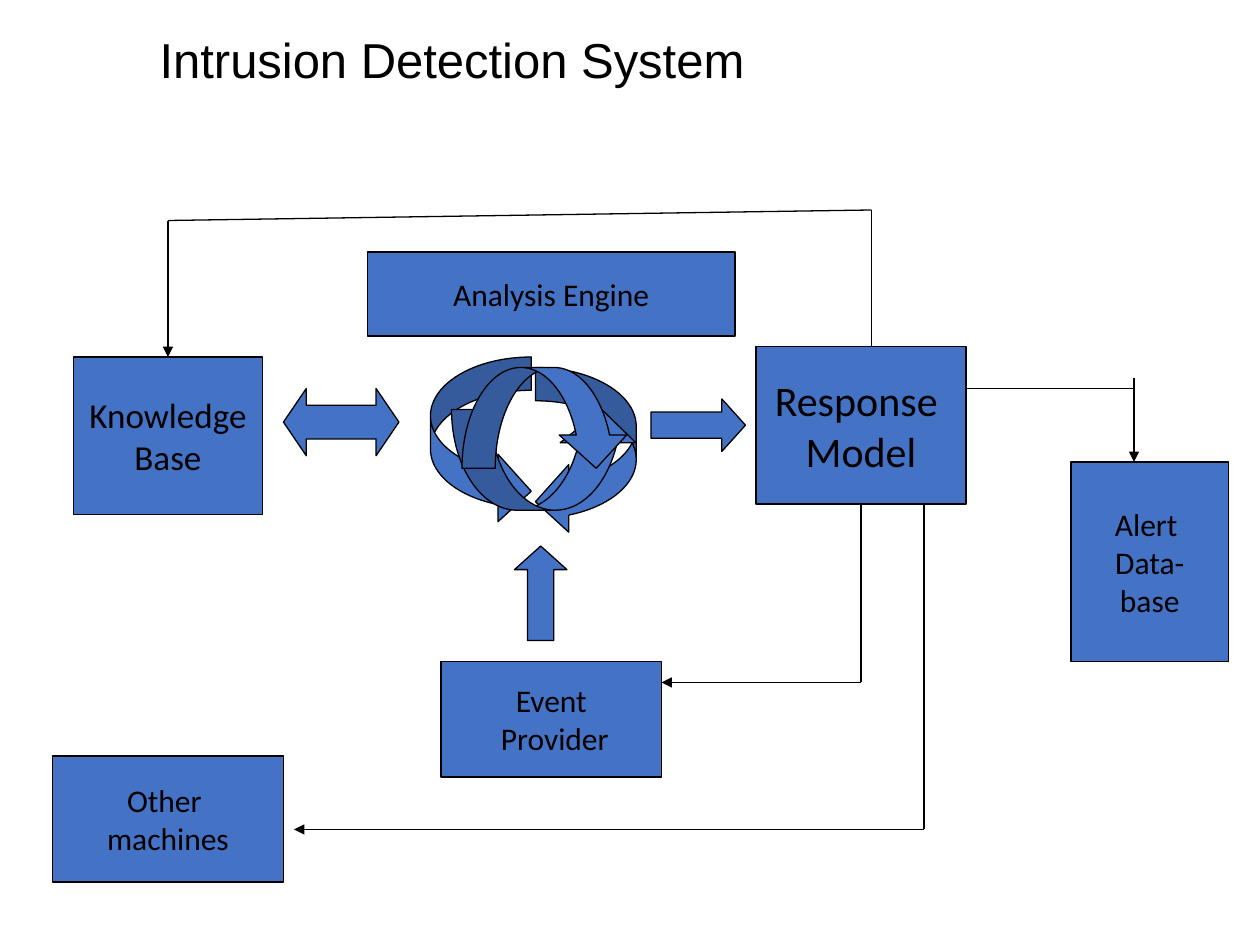
"""Build the Intrusion Detection System diagram on a 120 by 90 grid."""
from dataclasses import dataclass

from lxml.etree import SubElement
from pptx import Presentation
from pptx.dml.color import RGBColor
from pptx.enum.shapes import MSO_CONNECTOR, MSO_SHAPE
from pptx.enum.text import MSO_ANCHOR, PP_ALIGN
from pptx.oxml.ns import qn
from pptx.util import Inches, Pt

COLUMNS, ROWS = 120, 90
WIDTH, HEIGHT = Inches(10), Inches(7.5)
BLUE, BLACK = "4472C4", "000000"
TOP, BOTTOM = 0, 2


@dataclass
class Block:
    kind: MSO_SHAPE
    column: float
    row: float
    columns: float
    rows: float
    text: str = ""
    size: int = 18
    adjustments: tuple = ()


@dataclass
class Link:
    start: tuple
    end: tuple
    arrow: bool = False
    begin_at: tuple = ()
    end_at: tuple = ()


BOXES = {
    "knowledge": Block(MSO_SHAPE.RECTANGLE, 7, 34, 18, 15, "Knowledge\nBase", 20),
    "response": Block(MSO_SHAPE.RECTANGLE, 72, 33, 20, 15, "Response \nModel", 24),
    "alert": Block(MSO_SHAPE.RECTANGLE, 102, 44, 15, 19, "Alert \nData-\nbase"),
    "event": Block(MSO_SHAPE.RECTANGLE, 42, 63, 21, 11, "Event\n Provider"),
    "analysis": Block(MSO_SHAPE.RECTANGLE, 35, 24, 35, 8, "Analysis Engine"),
    "other": Block(MSO_SHAPE.RECTANGLE, 5, 72, 22, 12, "Other \nmachines"),
}

CYCLE = (0.33, 0.67, 0.33)
ARROWS = [
    Block(MSO_SHAPE.CURVED_RIGHT_ARROW, 41, 34, 9.6, 16, adjustments=CYCLE),
    Block(MSO_SHAPE.CURVED_LEFT_ARROW, 51, 35, 9.6, 16, adjustments=CYCLE),
    Block(MSO_SHAPE.CURVED_UP_ARROW, 43, 39, 17.9, 9.6, adjustments=(0.38, 0.75, 0.33)),
    Block(MSO_SHAPE.CURVED_DOWN_ARROW, 44, 35, 16, 9.6, adjustments=CYCLE),
    Block(MSO_SHAPE.LEFT_RIGHT_ARROW, 27, 37, 11, 6.4, adjustments=(0.5, 0.34)),
    Block(MSO_SHAPE.RIGHT_ARROW, 62, 38, 9, 5, adjustments=(0.5, 0.45)),
    Block(MSO_SHAPE.UP_ARROW, 49, 52, 5, 9, adjustments=(0.5, 0.45)),
]

LINKS = [
    Link((16, 21), (83, 20)),
    Link((83, 20), (83, 33)),
    Link((16, 21), (16, 34), True, end_at=("knowledge", TOP)),
    Link((82, 48), (82, 65), begin_at=("response", BOTTOM)),
    Link((82, 65), (63, 65), True),
    Link((108, 36), (108, 44), True),
    Link((92, 37), (108, 37)),
    Link((88, 48), (88, 79)),
    Link((88, 79), (28, 79), True),
]


def x(column: float) -> int:
    """Return the distance from the left for a grid column."""
    return round(WIDTH * column / COLUMNS)


def y(row: float) -> int:
    """Return the distance from the top for a grid row."""
    return round(HEIGHT * row / ROWS)


def color(value: str) -> RGBColor:
    """Return the colour for a hex string."""
    return RGBColor.from_string(value)


def write(shape, text: str, *, size: int, font: str = "Calibri", fill: str = BLACK,
          align=PP_ALIGN.CENTER, wrap: bool = False, spacing: float = 1.0) -> None:
    """Write one paragraph per line of text in a shape."""
    frame = shape.text_frame
    frame.text = text
    frame.word_wrap = wrap
    frame.vertical_anchor = MSO_ANCHOR.MIDDLE
    for paragraph in frame.paragraphs:
        paragraph.alignment = align
        paragraph.line_spacing = spacing
        paragraph.font.size = Pt(size)
        paragraph.font.name = font
        paragraph.font.color.rgb = color(fill)


def draw_block(slide, block: Block):
    """Draw a filled, outlined block with its text."""
    shape = slide.shapes.add_shape(block.kind, x(block.column), y(block.row),
                                   x(block.columns), y(block.rows))
    shape.shadow.inherit = False
    shape.fill.solid()
    shape.fill.fore_color.rgb = color(BLUE)
    shape.line.color.rgb = color(BLACK)
    shape.line.width = Pt(0.75)
    for index, value in enumerate(block.adjustments):
        shape.adjustments[index] = value
    if block.text:
        write(shape, block.text, size=block.size)
    return shape


def draw_link(slide, link: Link, boxes: dict) -> None:
    """Draw a straight connector, joined to boxes where named."""
    connector = slide.shapes.add_connector(
        MSO_CONNECTOR.STRAIGHT, x(link.start[0]), y(link.start[1]),
        x(link.end[0]), y(link.end[1]))
    connector.line.color.rgb = color(BLACK)
    connector.line.width = Pt(0.75)
    if link.arrow:
        SubElement(connector.line._get_or_add_ln(), qn("a:tailEnd"), type="triangle")
    SubElement(connector._element.spPr, qn("a:effectLst"))
    if link.begin_at:
        name, side = link.begin_at
        connector.begin_connect(boxes[name], side)
    if link.end_at:
        name, side = link.end_at
        connector.end_connect(boxes[name], side)


def main() -> None:
    """Build and save the presentation."""
    presentation = Presentation()
    presentation.slide_width, presentation.slide_height = WIDTH, HEIGHT
    slide = presentation.slides.add_slide(presentation.slide_layouts[5])
    title = slide.shapes.title
    title.left, title.top, title.width, title.height = x(14), y(0), x(99), y(12)
    write(title, "Intrusion Detection System", size=28, font="Arial",
          align=PP_ALIGN.LEFT, wrap=True, spacing=0.9)
    boxes = {name: draw_block(slide, block) for name, block in BOXES.items()}
    for arrow in ARROWS:
        draw_block(slide, arrow)
    for link in LINKS:
        draw_link(slide, link, boxes)
    presentation.save("out.pptx")


if __name__ == "__main__":
    main()
